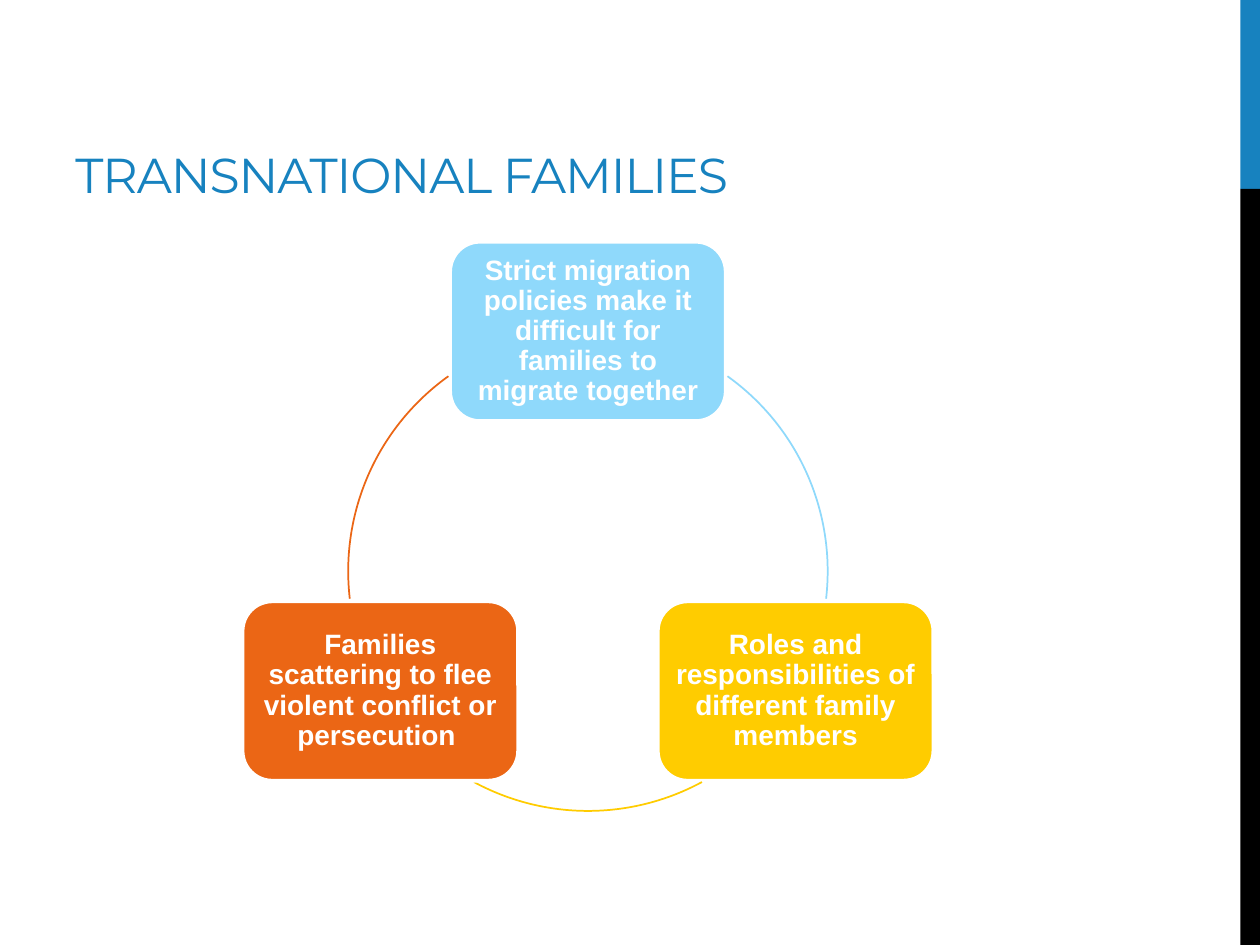
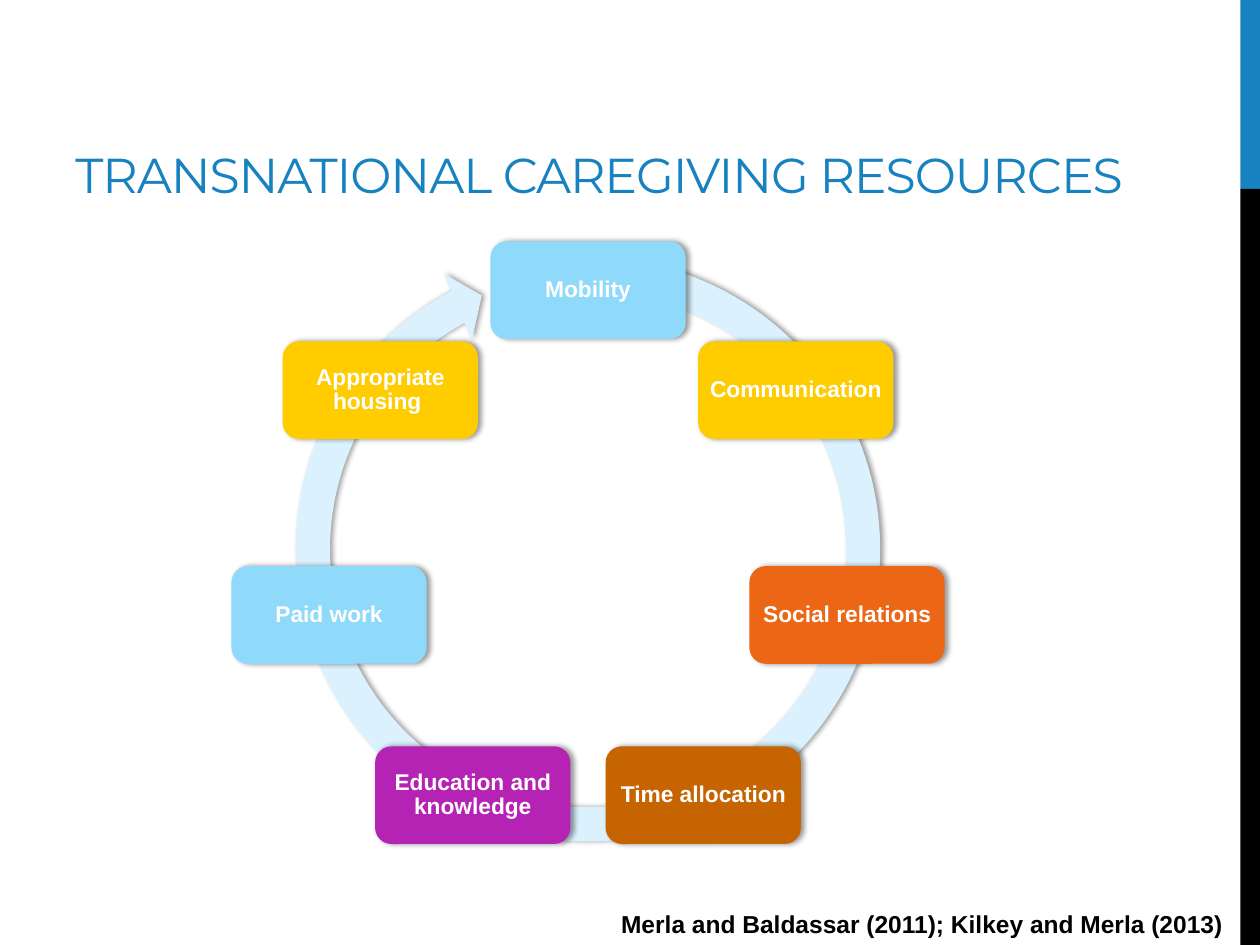
from math import cos, radians, sin

from lxml.etree import SubElement
from pptx import Presentation
from pptx.dml.color import RGBColor
from pptx.enum.shapes import MSO_SHAPE as SHAPE
from pptx.enum.text import MSO_ANCHOR as ANCHOR, PP_ALIGN as ALIGN
from pptx.oxml.ns import qn
from pptx.util import Pt

BLUE = RGBColor(0x17, 0x82, 0xBF)
BLACK = RGBColor(0, 0, 0)
WHITE = RGBColor(255, 255, 255)
SKY = RGBColor(0x8F, 0xD9, 0xFB)
GOLD = RGBColor(0xFF, 0xCC, 0x00)
RUST = RGBColor(0xEB, 0x66, 0x15)
BROWN = RGBColor(0xC7, 0x64, 0x02)
PLUM = RGBColor(0xB5, 0x23, 0xB4)
PALE = RGBColor(0xDB, 0xF1, 0xFD)

HEAD, BODY = "Montserrat", "Arial"
MID = 336


def draw(slide, kind, left, top, wide, high, fill, shade=False):
    shape = slide.shapes.add_shape(kind, Pt(left), Pt(top), Pt(wide), Pt(high))
    shape.shadow.inherit = False
    shape.line.fill.background()
    shape.fill.solid()
    shape.fill.fore_color.rgb = fill
    if shade:
        glow = SubElement(shape._element.spPr.find(qn("a:effectLst")), qn("a:outerShdw"),
                          blurRad="40000", dist="23000", dir="0", rotWithShape="0")
        tone = SubElement(glow, qn("a:srgbClr"), val="000000")
        SubElement(tone, qn("a:alpha"), val="40000")
    return shape


def write(shape, text, size, color, font=BODY, bold=True, pad=None):
    frame = shape.text_frame
    frame.word_wrap = True
    para = frame.paragraphs[0]
    if pad is not None:
        frame.margin_left = frame.margin_right = Pt(pad)
        frame.margin_top = frame.margin_bottom = Pt(pad)
        frame.vertical_anchor = ANCHOR.MIDDLE
        para.alignment = ALIGN.CENTER
        para.line_spacing = 0.9
    run = para.add_run()
    run.text = text
    run.font.size = Pt(size)
    run.font.name = font
    run.font.bold = bold
    run.font.color.rgb = color
    return run


deck = Presentation()
deck.slide_width, deck.slide_height = Pt(720), Pt(540)

pages = []
for title in ("TRANSNATIONAL FAMILIES", "TRANSNATIONAL CAREGIVING RESOURCES"):
    slide = deck.slides.add_slide(deck.slide_layouts[6])
    draw(slide, SHAPE.RECTANGLE, 708.75, 0, 11.25, 108, BLUE)
    draw(slide, SHAPE.RECTANGLE, 708.75, 108, 11.25, 432, BLACK)
    box = slide.shapes.add_textbox(Pt(36), Pt(12), Pt(673), Pt(108))
    box.text_frame.vertical_anchor = ANCHOR.BOTTOM
    run = write(box, title, 28, BLUE, HEAD, False)
    run.font._element.set("spc", "-60")
    pages.append(slide)

first, second = pages

causes = [
    ("Strict migration policies make it difficult for families to migrate together",
     SKY, 305.6, 6.6),
    ("Roles and responsibilities of different family members", GOLD, 61.6, 118.4),
    ("Families scattering to flee violent conflict or persecution ", RUST, 173.4, 234.4),
]
wide, high, rad, mid = 157.6, 102.6, 137, 326.4
for i, (text, color, start, end) in enumerate(causes):
    turn = radians(i * 360 / len(causes))
    node = draw(first, SHAPE.ROUNDED_RECTANGLE, MID + rad * sin(turn) - wide / 2,
                mid - rad * cos(turn) - high / 2, wide, high, color)
    node.line.color.rgb = WHITE
    node.line.width = Pt(2.25)
    write(node, text, 16, WHITE, pad=5)
    arc = draw(first, SHAPE.ARC, MID - rad, mid - rad, 2 * rad, 2 * rad, color)
    arc.fill.background()
    arc.line.color.rgb = color
    arc.line.width = Pt(1)
    arc.adjustments[0] = start * 0.6
    arc.adjustments[1] = end * 0.6

means = [
    ("Mobility", SKY),
    ("Communication", GOLD),
    ("Social relations", RUST),
    ("Time allocation", BROWN),
    ("Education and knowledge", PLUM),
    ("Paid work", SKY),
    ("Appropriate housing ", GOLD),
]
ring = draw(second, SHAPE.CIRCULAR_ARROW, 158.2, 136.1, 355.6, 355.6, PALE, True)
for i, value in enumerate((0.055, 3.307, 145.065, 169.555, 0.058)):
    ring.adjustments[i] = value
wide, high, rad, mid = 111.6, 55.8, 151.8, 317.6
for i, (text, color) in enumerate(means):
    turn = radians(i * 360 / len(means))
    node = draw(second, SHAPE.ROUNDED_RECTANGLE, MID + rad * sin(turn) - wide / 2,
                mid - rad * cos(turn) - high / 2, wide, high, color, True)
    write(node, text, 13, WHITE, pad=3)

credit = second.shapes.add_textbox(Pt(347.8), Pt(516), Pt(361), Pt(24))
write(credit, "Merla and Baldassar (2011); Kilkey and Merla (2013)", 14, BLACK)

deck.save("out.pptx")
